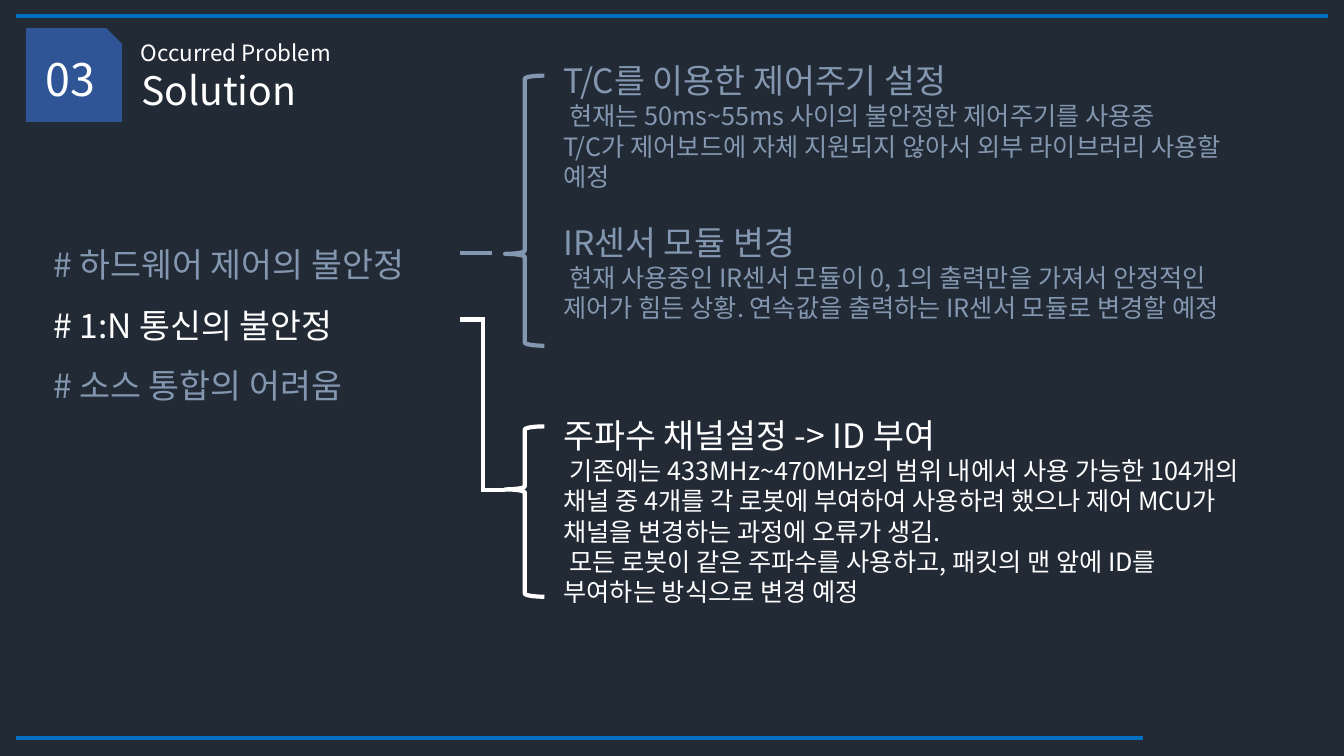
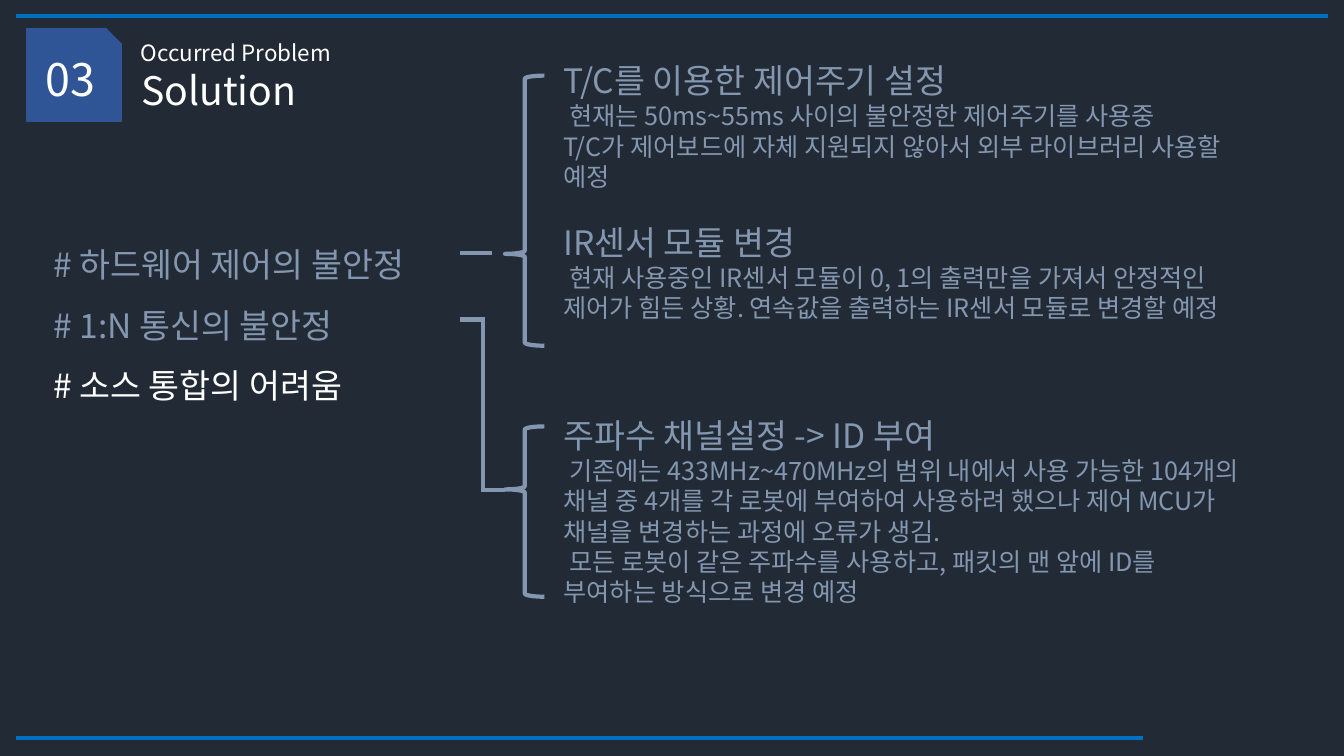
from lxml.etree import SubElement
from pptx import Presentation
from pptx.dml.color import RGBColor
from pptx.enum.shapes import MSO_CONNECTOR, MSO_SHAPE
from pptx.enum.text import MSO_ANCHOR, MSO_AUTO_SIZE, PP_ALIGN
from pptx.oxml.ns import qn
from pptx.util import Inches, Pt

FONT = "Noto Sans CJK KR"
NIGHT, BADGE, RAIL = "222A35", "2F5597", "0070C0"
ACTIVE, MUTED = "FFFFFF", "8497B0"
LINE_WIDTH = 3
HEADING_SIZE, DETAIL_SIZE = 24, 18
TOPIC_GAP = 21.6

ISSUES = ["# 하드웨어 제어의 불안정", "# 1:N 통신의 불안정", "# 소스 통합의 어려움"]
HARDWARE_TOPICS = [
    ("T/C를 이용한 제어주기 설정", [
        " 현재는 50ms~55ms 사이의 불안정한 제어주기를 사용중",
        "T/C가 제어보드에 자체 지원되지 않아서 외부 라이브러리 사용할 예정",
    ]),
    ("IR센서 모듈 변경", [
        " 현재 사용중인 IR센서 모듈이 0, 1의 출력만을 가져서 안정적인 제어가 힘든 상황. "
        "연속값을 출력하는 IR센서 모듈로 변경할 예정",
    ]),
]
RADIO_TOPICS = [
    ("주파수 채널설정 -> ID 부여", [
        " 기존에는 433MHz~470MHz의 범위 내에서 사용 가능한 104개의 채널 중 4개를 각 로봇에 "
        "부여하여 사용하려 했으나 제어 MCU가 채널을 변경하는 과정에 오류가 생김.",
        " 모든 로봇이 같은 주파수를 사용하고, 패킷의 맨 앞에 ID를 부여하는 방식으로 변경 예정",
    ]),
]


def rgb(value):
    """Turn a hex string into a colour."""
    return RGBColor.from_string(value)


def add_text(paragraph, text, size, color):
    """Append one run in the deck's font."""
    run = paragraph.add_run()
    run.text = text
    run.font.size = Pt(size)
    run.font.name = FONT
    run.font.color.rgb = rgb(color)
    SubElement(run.font._element, qn("a:ea")).set("typeface", FONT)


def place(shape, left, top, width, height):
    """Move a placeholder to a box given in inches."""
    shape.left, shape.top = Inches(left), Inches(top)
    shape.width, shape.height = Inches(width), Inches(height)


def prepare_frame(shape):
    """Return a wrapping, top-anchored text frame."""
    frame = shape.text_frame
    frame.word_wrap = True
    frame.auto_size = MSO_AUTO_SIZE.NONE
    frame.vertical_anchor = MSO_ANCHOR.TOP
    return frame


def add_frame(slide, left, top, width, height):
    """Add a text box and return its frame."""
    return prepare_frame(slide.shapes.add_textbox(
        Inches(left), Inches(top), Inches(width), Inches(height)))


def next_paragraph(frame, index):
    """Return the first paragraph, or a new one after it."""
    return frame.add_paragraph() if index else frame.paragraphs[0]


def add_line(slide, start, end, color):
    """Draw a straight line between two points."""
    line = slide.shapes.add_connector(
        MSO_CONNECTOR.STRAIGHT, *(Inches(value) for value in (*start, *end)))
    line.line.color.rgb = rgb(color)
    line.line.width = Pt(LINE_WIDTH)
    SubElement(line._element.spPr, qn("a:effectLst"))


def add_rails(slide, left, right, short_right):
    """Draw the rails along the top and bottom edges."""
    add_line(slide, (left, 0.16), (right, 0.16), RAIL)
    add_line(slide, (left, 7.32), (short_right, 7.32), RAIL)


def add_header(slide, left, top):
    """Place the chapter badge, the section label and the title."""
    badge = slide.shapes.add_shape(
        MSO_SHAPE.SNIP_1_RECTANGLE, Inches(left), Inches(top), Inches(0.95), Inches(0.93))
    badge.shadow.inherit = False
    badge.fill.solid()
    badge.fill.fore_color.rgb = rgb(BADGE)
    badge.line.fill.background()
    number_frame = prepare_frame(badge)
    number_frame.vertical_anchor = MSO_ANCHOR.MIDDLE
    number = number_frame.paragraphs[0]
    number.alignment = PP_ALIGN.CENTER
    add_text(number, "03", 32, ACTIVE)

    section = add_frame(slide, left + 1.04, top + 0.06, 8.9, 0.37)
    add_text(section.paragraphs[0], "Occurred Problem", 16, ACTIVE)

    title = slide.shapes.title
    place(title, left + 1.04, top + 0.33, 8.9, 0.57)
    heading = prepare_frame(title).paragraphs[0]
    heading.alignment = PP_ALIGN.LEFT
    add_text(heading, "Solution", 28, ACTIVE)


def add_issues(slide, left, top, active_issue):
    """List the issues and highlight the active one."""
    issues = slide.placeholders[1]
    place(issues, left, top, 4.22, 2.45)
    frame = prepare_frame(issues)
    for index, issue in enumerate(ISSUES):
        paragraph = next_paragraph(frame, index)
        properties = paragraph._p.get_or_add_pPr()
        properties.set("marL", "0")
        properties.set("indent", "0")
        SubElement(properties, qn("a:buNone"))
        paragraph.line_spacing = 1.5
        paragraph.space_before = Pt(0)
        add_text(paragraph, issue, HEADING_SIZE, ACTIVE if index == active_issue else MUTED)


def add_solution(slide, left, top, height, topics, color):
    """Write each topic heading with its details below."""
    frame = add_frame(slide, left, top, 6.9, height)
    for index, (heading, details) in enumerate(topics):
        paragraph = next_paragraph(frame, index)
        if index:
            paragraph.space_before = Pt(TOPIC_GAP)
        add_text(paragraph, heading, HEADING_SIZE, color)
        for detail in details:
            add_text(frame.add_paragraph(), detail, DETAIL_SIZE, color)


def add_brace(slide, left, top, height, tip, color):
    """Draw a left brace whose tip sits at a share of its height."""
    brace = slide.shapes.add_shape(
        MSO_SHAPE.LEFT_BRACE, Inches(left), Inches(top), Inches(0.39), Inches(height))
    brace.shadow.inherit = False
    brace.fill.background()
    brace.line.color.rgb = rgb(color)
    brace.line.width = Pt(LINE_WIDTH)
    brace.adjustments[0] = 0.08
    brace.adjustments[1] = tip


def add_hardware_branch(slide, left, top, color):
    """Place the hardware solutions, their brace and its stub."""
    add_solution(slide, left + 0.93, top, 3.03, HARDWARE_TOPICS, color)
    add_brace(slide, left + 0.45, top + 0.2, 2.68, 0.66, color)
    add_line(slide, (left, top + 1.96), (left + 0.32, top + 1.96), color)


def add_radio_branch(slide, left, top, color):
    """Place the radio solution, its brace and the stepped link."""
    add_solution(slide, left + 0.93, top, 2.42, RADIO_TOPICS, color)
    add_brace(slide, left + 0.45, top + 0.16, 1.69, 0.37, color)
    bend, link_top, link_bottom = left + 0.23, top - 0.9, top + 0.79
    add_line(slide, (left, link_top), (bend + 0.02, link_top), color)
    add_line(slide, (bend, link_top), (bend, link_bottom), color)
    add_line(slide, (bend - 0.02, link_bottom), (left + 0.45, link_bottom), color)


def add_solution_slide(deck, active_issue):
    """Build a solution slide with one issue highlighted."""
    slide = deck.slides.add_slide(deck.slide_layouts[1])
    add_rails(slide, 0.16, 13.17, 11.34)
    add_header(slide, 0.26, 0.28)
    add_issues(slide, 0.43, 2.17, active_issue)
    branches = [(add_hardware_branch, 0.55), (add_radio_branch, 4.07)]
    for index, (add_branch, top) in enumerate(branches):
        add_branch(slide, 4.56, top, ACTIVE if index == active_issue else MUTED)


def main():
    """Build and save the deck."""
    deck = Presentation()
    deck.slide_width, deck.slide_height = Inches(13.33), Inches(7.5)
    backdrop = deck.slide_master.background.fill
    backdrop.solid()
    backdrop.fore_color.rgb = rgb(NIGHT)
    for active_issue in (1, 2):
        add_solution_slide(deck, active_issue)
    deck.save("out.pptx")


if __name__ == "__main__":
    main()
